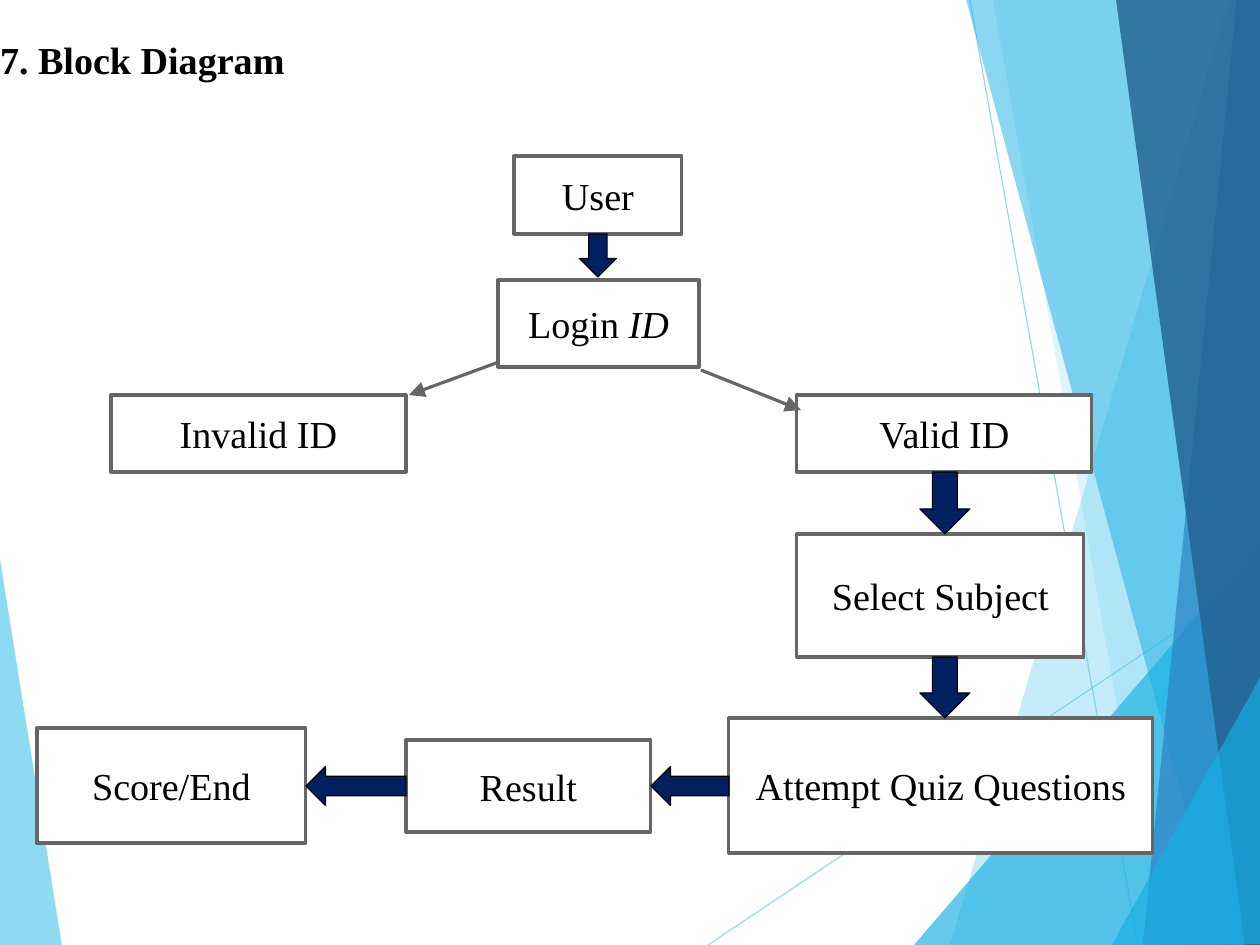
from dataclasses import dataclass

from lxml import etree
from pptx import Presentation
from pptx import util as u
from pptx.dml import color
from pptx.enum import shapes, text
from pptx.oxml import ns

PX = 8000
SLIDE_SIZE = (10080625, 7559675)


@dataclass(frozen=True)
class Theme:
    font: str = "Times New Roman"
    size: int = 24
    ink: str = "000000"
    paper: str = "FFFFFF"
    border: str = "666666"
    border_width: int = 2
    arrow: str = "002060"
    sky: str = "5FCBEF"
    cyan: str = "17B0E4"
    blue: str = "2E83C3"
    navy: str = "236292"
    hairline: float = 0.75


THEME = Theme()

TITLE = "7. Block Diagram"
TITLE_FRAME = (0, -19, 1134, 158)

LEFT_FACET = (THEME.sky, 70, [(-1, 553), (62, 946), (-1, 945)])
RAYS = [((708, 945), (1261, 575)), ((970, 0), (1138, 945))]
RIGHT_FACETS = [
    (THEME.sky, 36, [(1229, 0), (950, 945), (1262, 946), (1261, 1)]),
    (THEME.sky, 20, [(993, -1), (1159, 945), (1261, 945), (1261, -1)]),
    (THEME.cyan, 66, [(914, 945), (1261, 541), (1261, 945)]),
    (THEME.cyan, 50, [(966, -1), (1222, 945), (1261, 944), (1261, -1)]),
    (THEME.blue, 70, [(1237, -1), (1143, 945), (1261, 945), (1261, -1)]),
    (THEME.navy, 82, [(1116, -1), (1245, 945), (1262, 945), (1261, -1)]),
    (THEME.cyan, 66, [(1112, 945), (1262, 674), (1263, 944)]),
]

BOXES = {
    "user": ("User", "", (514, 156, 168, 78)),
    "login": ("Login ", "ID", (498, 280, 201, 87)),
    "invalid": ("Invalid ID", "", (111, 395, 295, 77)),
    "valid": ("Valid ID", "", (797, 395, 295, 77)),
    "subject": ("Select Subject", "", (797, 534, 287, 123)),
    "quiz": ("Attempt Quiz Questions", "", (729, 718, 424, 135)),
    "result": ("Result", "", (406, 740, 245, 92)),
    "score": ("Score/End", "", (37, 728, 269, 115)),
}

BRANCHES = [((499, 362), (409, 395)), ((701, 370), (801, 410))]

DOWN_ARROWS = [
    ("user", "login", 598, 37, 3),
    ("valid", "subject", 945, 50, 0),
    ("subject", "quiz", 945, 50, 0),
]
LEFT_ARROWS = [("quiz", "result"), ("result", "score")]
LEFT_ARROW_AXIS, LEFT_ARROW_HEIGHT = 786, 39


def rgb(value):
    return color.RGBColor.from_string(value)


def set_alpha(item, percent):
    for node in item._element.spPr.iter(ns.qn("a:srgbClr")):
        etree.SubElement(node, ns.qn("a:alpha"), val=str(percent * 1000))


def add_facet(page, fill, alpha, points):
    builder = page.shapes.build_freeform(*points[0], scale=PX)
    builder.add_line_segments(points[1:], close=True)
    facet = builder.convert_to_shape()
    facet.shadow.inherit = False
    facet.fill.solid()
    facet.fill.fore_color.rgb = rgb(fill)
    facet.line.fill.background()
    set_alpha(facet, alpha)


def add_line(page, start, end, stroke, width):
    line = page.shapes.add_connector(
        shapes.MSO_CONNECTOR.STRAIGHT, *(n * PX for n in start + end))
    line.line.color.rgb = rgb(stroke)
    line.line.width = u.Pt(width)
    etree.SubElement(line._element.spPr, ns.qn("a:effectLst"))
    return line


def add_block(page, kind, frame, fill, stroke, width):
    block = page.shapes.add_shape(kind, *(round(n * PX) for n in frame))
    block.shadow.inherit = False
    block.fill.solid()
    block.fill.fore_color.rgb = rgb(fill)
    block.line.color.rgb = rgb(stroke)
    block.line.width = u.Pt(width)
    return block


def style(para, align, bold=False):
    para.alignment = align
    para.font.name = THEME.font
    para.font.size = u.Pt(THEME.size)
    para.font.bold = bold
    para.font.color.rgb = rgb(THEME.ink)


def add_title(page):
    title = page.shapes.title
    title.left, title.top, title.width, title.height = (n * PX for n in TITLE_FRAME)
    frame = title.text_frame
    frame.text = TITLE
    frame.word_wrap = True
    frame.auto_size = text.MSO_AUTO_SIZE.NONE
    frame.vertical_anchor = text.MSO_ANCHOR.MIDDLE
    frame.margin_left = frame.margin_right = frame.margin_bottom = 0
    frame.margin_top = 3 * PX
    para = frame.paragraphs[0]
    para.line_spacing = 0.93
    style(para, text.PP_ALIGN.LEFT, bold=True)


def add_box(page, label, italic_label, frame):
    box = add_block(page, shapes.MSO_SHAPE.RECTANGLE, frame,
                    THEME.paper, THEME.border, THEME.border_width)
    box.text_frame.word_wrap = True
    box.text_frame.vertical_anchor = text.MSO_ANCHOR.MIDDLE
    para = box.text_frame.paragraphs[0]
    para.add_run().text = label
    if italic_label:
        span = para.add_run()
        span.text = italic_label
        span.font.italic = True
    style(para, text.PP_ALIGN.CENTER)


def add_arrow(page, kind, frame):
    add_block(page, kind, frame, THEME.arrow, THEME.ink, THEME.hairline)


def main():
    deck = Presentation()
    deck.slide_width, deck.slide_height = SLIDE_SIZE
    page = deck.slides.add_slide(deck.slide_layouts[5])
    add_title(page)

    add_facet(page, *LEFT_FACET)
    for start, end in RAYS:
        set_alpha(add_line(page, start, end, THEME.sky, THEME.hairline), 70)
    for facet in RIGHT_FACETS:
        add_facet(page, *facet)

    for box in BOXES.values():
        add_box(page, *box)

    for start, end in BRANCHES:
        branch = add_line(page, start, end, THEME.border, THEME.border_width)
        etree.SubElement(branch.line._get_or_add_ln(), ns.qn("a:tailEnd"),
                         type="triangle", w="lg", len="lg")

    frames = {name: frame for name, (_, _, frame) in BOXES.items()}
    for source, target, axis, breadth, gap in DOWN_ARROWS:
        _, top, _, height = frames[source]
        start = top + height
        length = frames[target][1] - gap - start
        add_arrow(page, shapes.MSO_SHAPE.DOWN_ARROW,
                  (axis - breadth / 2, start, breadth, length))
    for source, target in LEFT_ARROWS:
        left, _, width, _ = frames[target]
        tip = left + width
        add_arrow(page, shapes.MSO_SHAPE.LEFT_ARROW,
                  (tip, LEFT_ARROW_AXIS - LEFT_ARROW_HEIGHT / 2,
                   frames[source][0] - tip, LEFT_ARROW_HEIGHT))

    deck.save("out.pptx")


if __name__ == "__main__":
    main()
